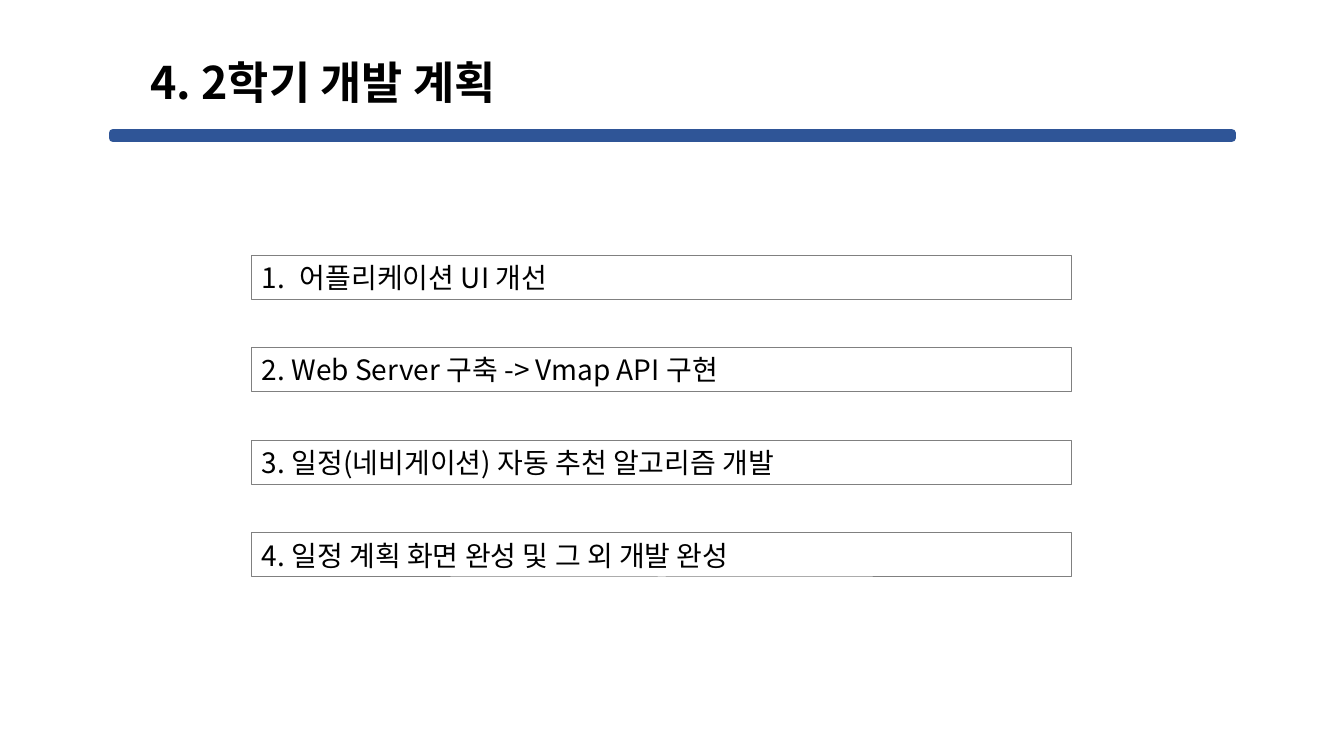
from lxml import etree
from pptx import Presentation
from pptx import util as u
from pptx.dml.color import RGBColor
from pptx.enum import shapes, text
from pptx.oxml.ns import qn

BLACK = RGBColor(0x00, 0x00, 0x00)
BLUE = RGBColor(0x2F, 0x55, 0x97)
GRAY = RGBColor(0x80, 0x80, 0x80)
FONT = "Noto Sans CJK KR"


def write_text(shape, content, size, bold=False, wrap=True):
    frame = shape.text_frame
    frame.word_wrap = wrap
    frame.auto_size = text.MSO_AUTO_SIZE.NONE
    frame.vertical_anchor = text.MSO_ANCHOR.MIDDLE
    paragraph = frame.paragraphs[0]
    paragraph.alignment = text.PP_ALIGN.LEFT
    run = paragraph.add_run()
    run.text = content
    run.font.size = u.Pt(size)
    run.font.bold = bold
    run.font.color.rgb = BLACK
    run.font.name = FONT
    # Korean letters use the East Asian font slot
    etree.SubElement(run.font._element, qn("a:ea"), typeface=FONT)
    return paragraph


def add_box(left, top, width, height, line_color, line_width):
    shape = slide.shapes.add_shape(
        shapes.MSO_SHAPE.RECTANGLE, u.Pt(left), u.Pt(top), u.Pt(width), u.Pt(height))
    shape.shadow.inherit = False
    shape.fill.background()
    shape.line.color.rgb = line_color
    shape.line.width = u.Pt(line_width)
    return shape


presentation = Presentation()
presentation.slide_width = u.Pt(960)
presentation.slide_height = u.Pt(540)
slide = presentation.slides.add_slide(presentation.slide_layouts[5])

# Blue bar under the title
bar = add_box(80.6, 95, 799.2, 3.6, BLUE, 6)
bar.fill.solid()
bar.fill.fore_color.rgb = BLUE

# Title
title = slide.shapes.title
title.left, title.top, title.width, title.height = (
    u.Pt(value) for value in (100, 35.3, 288, 46))
write_text(title, "4. 2학기 개발 계획", size=32, bold=True, wrap=False)

# Plan items at an equal pitch
plan_items = [
    "어플리케이션 UI 개선",
    "2. Web Server 구축 -> Vmap API 구현",
    "3. 일정(네비게이션) 자동 추천 알고리즘 개발",
    "4. 일정 계획 화면 완성 및 그 외 개발 완성",
]
for index, item in enumerate(plan_items):
    box = add_box(180, 182.2 + 66.1 * index, 585.4, 31.7, GRAY, 0.75)
    paragraph = write_text(box, item, size=20)
    if index == 0:
        # The first item is numbered automatically
        properties = paragraph._p.get_or_add_pPr()
        properties.set("marL", str(u.Pt(27)))
        properties.set("indent", str(u.Pt(-27)))
        etree.SubElement(properties, qn("a:buFont"), typeface=FONT)
        etree.SubElement(properties, qn("a:buAutoNum"), type="arabicPeriod")

presentation.save("out.pptx")
